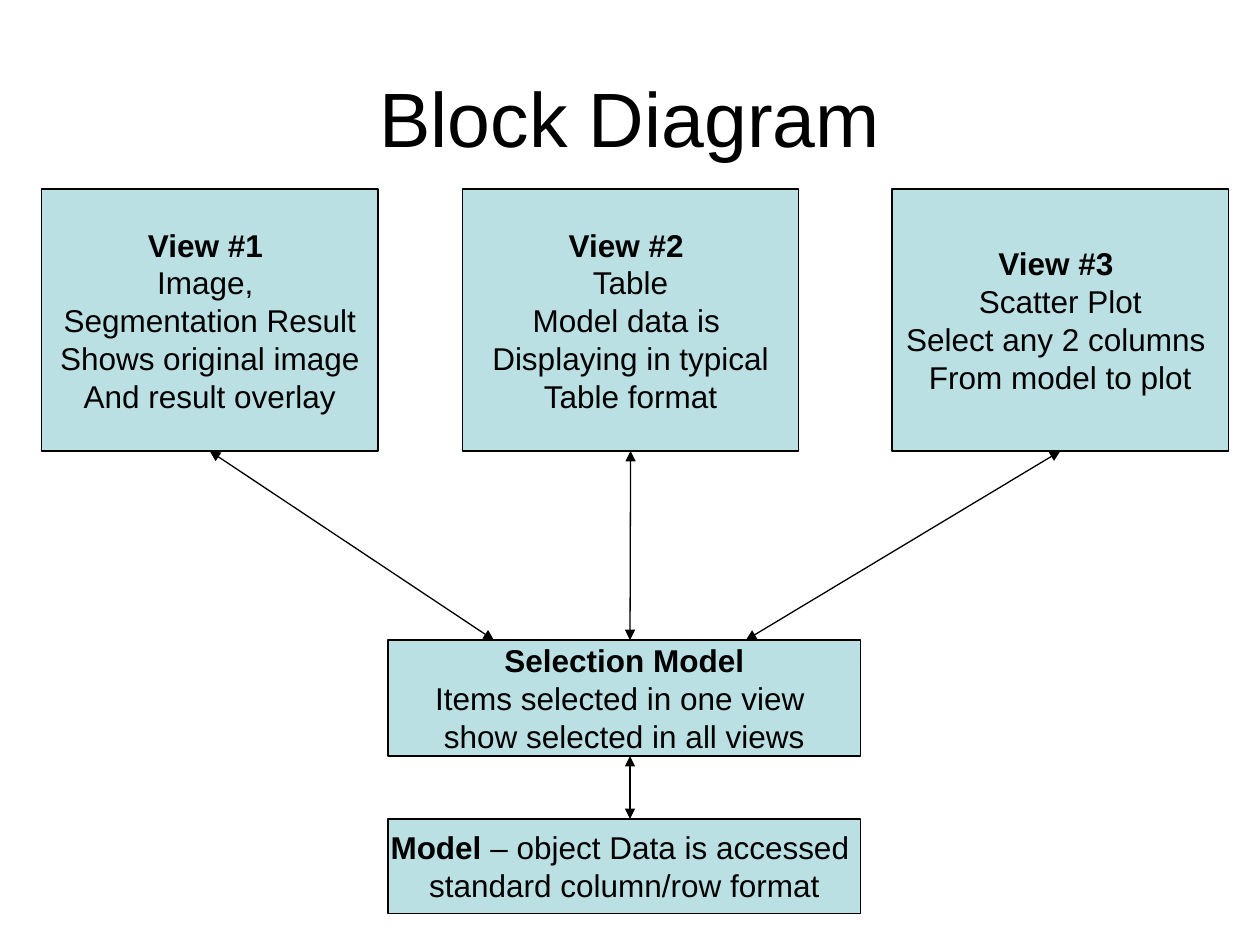
from lxml import etree
from pptx import Presentation
from pptx.dml.color import RGBColor
from pptx.enum.shapes import MSO_CONNECTOR, MSO_SHAPE
from pptx.enum.text import MSO_ANCHOR, PP_ALIGN
from pptx.oxml.ns import qn
from pptx.util import Inches, Pt

RECTANGLE = MSO_SHAPE.RECTANGLE
STRAIGHT = MSO_CONNECTOR.STRAIGHT
MIDDLE = MSO_ANCHOR.MIDDLE
CENTER = PP_ALIGN.CENTER

COLORS = {"ink": "000000", "block": "BBE0E3"}
FONT = "Arial"
LINE_WIDTH = Pt(0.75)

TITLE_BOX = (0.5, 0.3, 9, 1.25)
VIEW_TOP, VIEW_WIDTH, VIEW_HEIGHT = 1.5, 2.67, 2.08
VIEW_BOTTOM = VIEW_TOP + VIEW_HEIGHT
SELECTION_BOX = (3.08, 5.08, 3.75, 0.92)
MODEL_BOX = (3.08, 6.5, 3.75, 0.75)
SPINE = 5

VIEWS = [
    (0.33, 3.92, "View #1 ",
     ["Image, ", "Segmentation Result", "Shows original image", "And result overlay"]),
    (3.67, SPINE, "View #2 ",
     ["Table", "Model data is ", "Displaying in typical", "Table format"]),
    (7.08, 5.92, "View #3 ",
     ["Scatter Plot", "Select any 2 columns ", "From model to plot"]),
]
SELECTION_LINES = [
    [("Selection Model", True)],
    [("Items selected in one view ", False)],
    [("show selected in all views", False)],
]
MODEL_LINES = [
    [("Model", True), (" – object Data is accessed ", False)],
    [("standard column/row format", False)],
]


def color(name):
    """Return the named colour."""
    return RGBColor.from_string(COLORS[name])


def style_para(para, size):
    """Centre a paragraph and set its font."""
    para.alignment = CENTER
    para.font.name = FONT
    para.font.size = Pt(size)
    para.font.color.rgb = color("ink")


def add_title(page, box, text):
    """Fill the title placeholder and move it to the box."""
    title = page.shapes.title
    title.left, title.top, title.width, title.height = map(Inches, box)
    title.text_frame.text = text
    title.text_frame.vertical_anchor = MIDDLE
    style_para(title.text_frame.paragraphs[0], 44)


def add_block(page, box, lines):
    """Draw one block holding lines of (text, bold) spans."""
    block = page.shapes.add_shape(RECTANGLE, *map(Inches, box))
    block.shadow.inherit = False
    block.fill.solid()
    block.fill.fore_color.rgb = color("block")
    block.line.color.rgb = color("ink")
    block.line.width = LINE_WIDTH
    frame = block.text_frame
    frame.word_wrap = False
    frame.vertical_anchor = MIDDLE
    for index, line in enumerate(lines):
        para = frame.add_paragraph() if index else frame.paragraphs[0]
        style_para(para, 18)
        for text, bold in line:
            span = para.add_run()
            span.text = text
            span.font.bold = bold


def add_arrow(page, start, end):
    """Draw a line with an arrowhead at each end."""
    arrow = page.shapes.add_connector(STRAIGHT, *map(Inches, (*start, *end)))
    arrow.line.color.rgb = color("ink")
    arrow.line.width = LINE_WIDTH
    outline = arrow.line._get_or_add_ln()
    for tag in ("a:headEnd", "a:tailEnd"):
        etree.SubElement(outline, qn(tag), type="triangle")
    etree.SubElement(arrow._element.spPr, qn("a:effectLst"))


def add_views(page, top, width, height):
    """Draw the row of views and their arrows to the selection model."""
    for left, target, heading, details in VIEWS:
        lines = [[(heading, True)]] + [[(text, False)] for text in details]
        add_block(page, (left, top, width, height), lines)
        add_arrow(page, (left + width / 2, top + height), (target, SELECTION_BOX[1]))


def main():
    """Build the block diagram deck."""
    deck = Presentation()
    deck.slide_width, deck.slide_height = Inches(10), Inches(7.5)
    page = deck.slides.add_slide(deck.slide_layouts[5])
    add_title(page, TITLE_BOX, "Block Diagram")
    add_block(page, MODEL_BOX, MODEL_LINES)
    add_block(page, SELECTION_BOX, SELECTION_LINES)
    add_views(page, VIEW_TOP, VIEW_WIDTH, VIEW_HEIGHT)
    add_arrow(page, (SPINE, SELECTION_BOX[1] + SELECTION_BOX[3]), (SPINE, MODEL_BOX[1]))
    deck.save("out.pptx")


if __name__ == "__main__":
    main()
